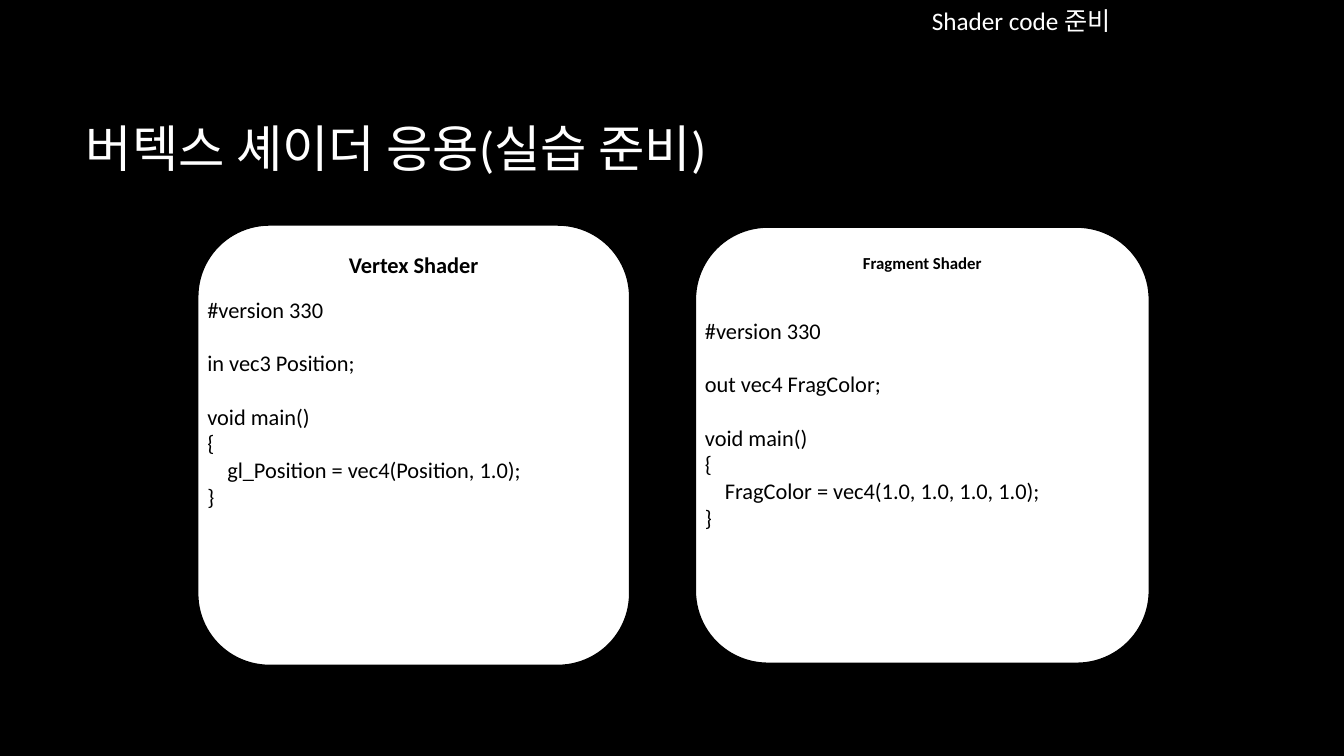
from dataclasses import dataclass

from pptx import Presentation
from pptx.dml.color import RGBColor
from pptx.enum.shapes import MSO_SHAPE
from pptx.enum.text import MSO_ANCHOR, MSO_AUTO_SIZE, PP_ALIGN
from pptx.util import Pt

PX = 9525  # EMU per px at 96 px to the inch
TITLE_ONLY = 5
INDENT = 19


@dataclass(frozen=True)
class Theme:
    font: str = "Calibri"
    dark: RGBColor = RGBColor(0, 0, 0)
    light: RGBColor = RGBColor(255, 255, 255)
    title: int = 36
    header: int = 18
    code: int = 16
    small: int = 12
    line: float = 1.5
    code_gap: int = 19


class Deck:
    def __init__(self, theme, width, height):
        self.theme = theme
        self.prs = Presentation()
        self.prs.slide_width, self.prs.slide_height = width * PX, height * PX

    def add_slide(self):
        self.s = self.prs.slides.add_slide(self.prs.slide_layouts[TITLE_ONLY])
        fill = self.s.background.fill
        fill.solid()
        fill.fore_color.rgb = self.theme.dark

    def style(self, p, size, color, bold=False, align=PP_ALIGN.LEFT):
        p.alignment = align
        for r in p.runs:
            r.font.name = self.theme.font
            r.font.size = Pt(size)
            r.font.bold = bold
            r.font.color.rgb = color

    def title(self, text, box):
        sp = self.s.shapes.title
        sp.left, sp.top, sp.width, sp.height = (v * PX for v in box)
        tf = sp.text_frame
        tf.text = text
        tf.auto_size = MSO_AUTO_SIZE.NONE
        tf.vertical_anchor = MSO_ANCHOR.MIDDLE
        self.style(tf.paragraphs[0], self.theme.title, self.theme.light)

    def text_box(self, text, box, size, color):
        sp = self.s.shapes.add_textbox(*(v * PX for v in box))
        tf = sp.text_frame
        tf.word_wrap = True
        tf.auto_size = MSO_AUTO_SIZE.SHAPE_TO_FIT_TEXT
        tf.text = text
        for p in tf.paragraphs:
            self.style(p, size, color)
        return tf

    def panel(self, heading, box, size):
        sp = self.s.shapes.add_shape(MSO_SHAPE.ROUNDED_RECTANGLE, *(v * PX for v in box))
        sp.shadow.inherit = False
        sp.fill.solid()
        sp.fill.fore_color.rgb = self.theme.light
        sp.line.color.rgb = self.theme.dark
        sp.line.width = Pt(self.theme.line)
        tf = sp.text_frame
        tf.vertical_anchor = MSO_ANCHOR.TOP
        tf.text = heading
        self.style(tf.paragraphs[0], size, self.theme.dark, True, PP_ALIGN.CENTER)

    def shader_code(self, declaration, statement, box):
        """Write a shader whose sections are set apart and whose body is indented."""
        lines = ["#version 330", declaration, "void main()", "{", statement, "}"]
        tf = self.text_box("\n".join(lines), box, self.theme.code, self.theme.dark)
        for p in tf.paragraphs[1:3]:
            p.space_before = Pt(self.theme.code_gap)
        tf.paragraphs[4]._p.get_or_add_pPr().set("marL", str(INDENT * PX))


def main():
    theme = Theme()
    deck = Deck(theme, 1280, 720)
    deck.add_slide()
    deck.title("버텍스 셰이더 응용(실습 준비)", (72, 64, 1064, 153))

    shaders = [
        ("Fragment Shader", theme.small, (662, 216, 433, 416), 297,
         "out vec4 FragColor;", "FragColor = vec4(1.0, 1.0, 1.0, 1.0);"),
        ("Vertex Shader", theme.code, (188, 214, 412, 420), 277,
         "in vec3 Position;", "gl_Position = vec4(Position, 1.0);"),
    ]
    for heading, size, box, code_top, declaration, statement in shaders:
        left, _, width, _ = box
        deck.panel(heading, box, size)
        deck.shader_code(declaration, statement, (left, code_top, width, 220))

    deck.text_box("Shader code 준비", (878, 0, 242, 38), theme.header, theme.light)
    deck.prs.save("out.pptx")


if __name__ == "__main__":
    main()
